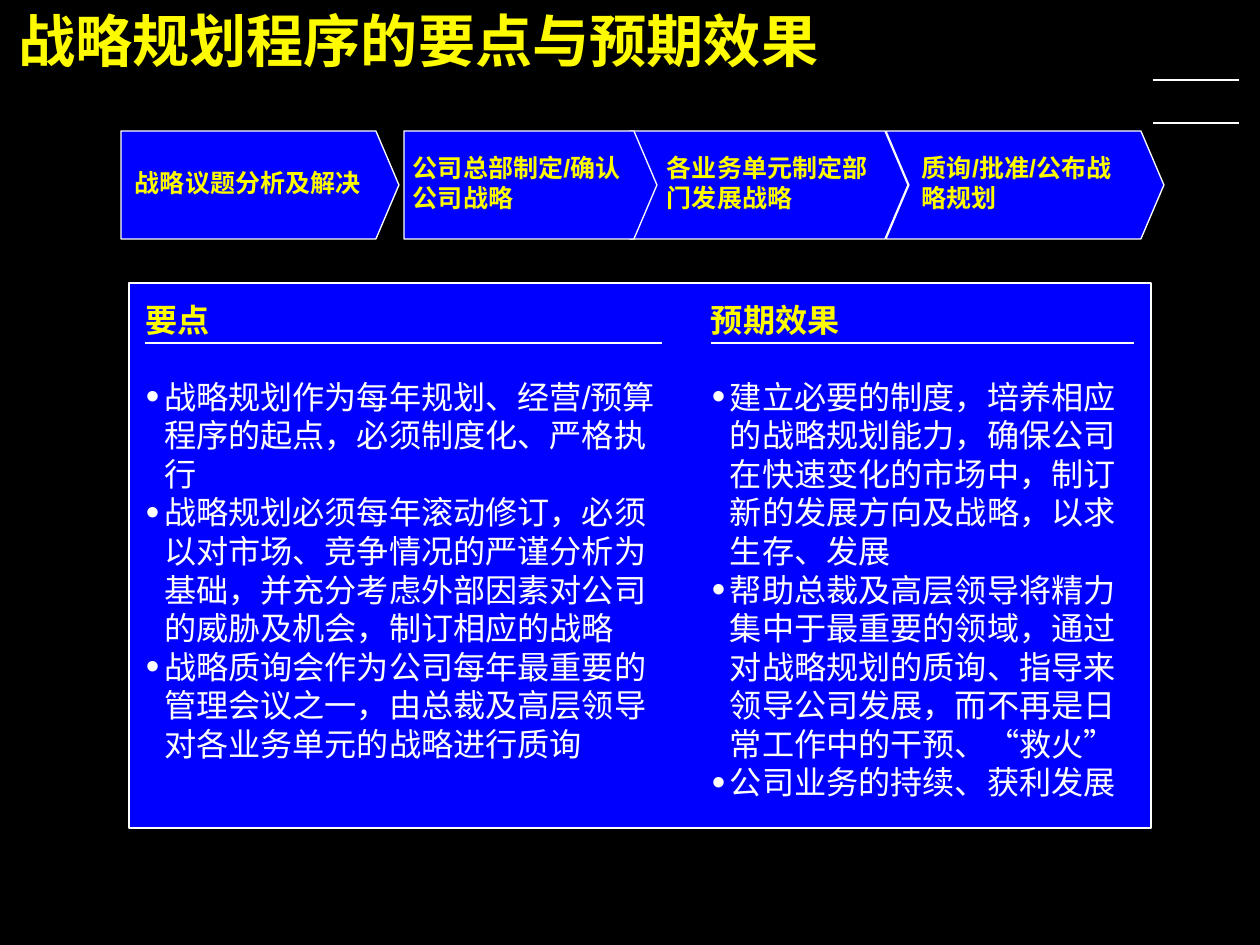
from dataclasses import dataclass

from lxml.etree import SubElement
from pptx import Presentation
from pptx.dml.color import RGBColor
from pptx.enum.lang import MSO_LANGUAGE_ID as Lang
from pptx.enum.shapes import MSO_CONNECTOR as Connector, MSO_SHAPE as Shape
from pptx.enum.text import MSO_ANCHOR as Anchor, MSO_AUTO_SIZE as AutoSize, PP_ALIGN as Align
from pptx.oxml.ns import qn
from pptx.util import Emu, Pt

PX = 7112  # EMU per px


@dataclass(frozen=True)
class Theme:
    font: str = "Arial"
    background: RGBColor = RGBColor(0x00, 0x00, 0x00)
    fill: RGBColor = RGBColor(0x00, 0x00, 0xFE)
    accent: RGBColor = RGBColor(0xFE, 0xFB, 0x00)
    plain: RGBColor = RGBColor(0xFF, 0xFF, 0xFF)
    title: int = 32
    body: int = 18
    step: int = 14


THEME = Theme()
COMPARISON_LAYOUT = 4

# label, left, width, text inset
STEPS = [
    ("战略议题分析及解决", 121, 278, 14),
    ("公司总部制定/确认公司战略", 404, 253, 9),
    ("各业务单元制定部门发展战略", 630, 278, 14),
    ("质询/批准/公布战略规划", 886, 278, 13),
]
KEY_POINTS = [
    "战略规划作为每年规划、经营/预算程序的起点，必须制度化、严格执行",
    "战略规划必须每年滚动修订，必须以对市场、竞争情况的严谨分析为基础，并充分考虑外部因素对公司的威胁及机会，制订相应的战略",
    "战略质询会作为公司每年最重要的管理会议之一，由总裁及高层领导对各业务单元的战略进行质询",
]
EXPECTED_RESULTS = [
    "建立必要的制度，培养相应的战略规划能力，确保公司在快速变化的市场中，制订新的发展方向及战略，以求生存、发展",
    "帮助总裁及高层领导将精力集中于最重要的领域，通过对战略规划的质询、指导来领导公司发展，而不再是日常工作中的干预、“救火”",
    "公司业务的持续、获利发展",
]


def px(length):
    return Emu(length * PX)


def place(shape, left, top, width, height):
    shape.left, shape.top = px(left), px(top)
    shape.width, shape.height = px(width), px(height)


def set_frame(frame, anchor, left=0, right=0, bottom=0):
    frame.word_wrap = True
    frame.auto_size = AutoSize.NONE
    frame.vertical_anchor = anchor
    frame.margin_left, frame.margin_right = px(left), px(right)
    frame.margin_top, frame.margin_bottom = 0, px(bottom)


def write(paragraph, text, size, color, bold):
    paragraph.alignment = Align.LEFT
    paragraph.space_before = Pt(0)
    run = paragraph.add_run()
    run.text = text
    font = run.font
    font.name, font.size, font.bold = THEME.font, Pt(size), bold
    font.color.rgb = color
    font.language_id = Lang.SIMPLIFIED_CHINESE


def add_bullet(paragraph):
    paragraph.space_before = Pt(0)
    props = paragraph._p.get_or_add_pPr()
    props.set("marL", str(px(19)))
    props.set("indent", str(px(-18)))
    SubElement(SubElement(props, qn("a:buClr")), qn("a:srgbClr"), val=str(THEME.plain))
    SubElement(props, qn("a:buSzPct"), val="120000")
    SubElement(props, qn("a:buFont"), typeface=THEME.font)
    SubElement(props, qn("a:buChar"), char="•")


def add_box(slide, preset, box, line_width):
    """Add a filled, outlined preset shape."""
    shape = slide.shapes.add_shape(preset, *map(px, box))
    shape.shadow.inherit = False
    shape.fill.solid()
    shape.fill.fore_color.rgb = THEME.fill
    shape.line.color.rgb = THEME.plain
    shape.line.width = Pt(line_width)
    return shape


def add_rule(slide, left, top, width):
    rule = slide.shapes.add_connector(
        Connector.STRAIGHT, px(left), px(top), px(left + width), px(top))
    rule.line.color.rgb = THEME.plain
    rule.line.width = Pt(1)
    SubElement(rule.element.spPr, qn("a:effectLst"))


def add_title(slide, text, box):
    title = slide.shapes.title
    place(title, *box)
    set_frame(title.text_frame, Anchor.TOP)
    write(title.text_frame.paragraphs[0], text, THEME.title, THEME.accent, True)


def add_process(slide, top, height, tip=23):
    """Draw the steps from last to first, so each tip lies over the next step."""
    for index, (label, left, width, inset) in reversed(list(enumerate(STEPS))):
        flat_start = index < 2
        preset = Shape.PENTAGON if flat_start else Shape.CHEVRON
        step = add_box(slide, preset, (left, top, width, height), 0.75)
        step.adjustments[0] = tip / height
        set_frame(step.text_frame, Anchor.MIDDLE, inset, 18 if flat_start else 6, 5)
        write(step.text_frame.paragraphs[0], label, THEME.step, THEME.accent, True)


def add_panel(slide, box):
    panel = add_box(slide, Shape.RECTANGLE, box, 1)
    tree = panel.element.getparent()
    tree.insert(2, panel.element)  # behind the placeholders


def add_column(slide, heading_index, heading_text, points, box, rule_width):
    left, top, width, height = box
    heading = slide.placeholders[heading_index]
    place(heading, left, top, width, 40)
    set_frame(heading.text_frame, Anchor.TOP)
    write(heading.text_frame.paragraphs[0], heading_text, THEME.body, THEME.accent, True)
    add_rule(slide, left, top + 43, rule_width)

    body = slide.placeholders[heading_index + 1]
    place(body, left, top + 77, width, height - 77)
    frame = body.text_frame
    set_frame(frame, Anchor.TOP)
    for index, point in enumerate(points):
        paragraph = frame.add_paragraph() if index else frame.paragraphs[0]
        add_bullet(paragraph)
        write(paragraph, point, THEME.body, THEME.plain, False)


def main():
    deck = Presentation()
    deck.slide_width, deck.slide_height = px(1260), px(945)
    slide = deck.slides.add_slide(deck.slide_layouts[COMPARISON_LAYOUT])
    background = slide.background.fill
    background.solid()
    background.fore_color.rgb = THEME.background

    for top in (80, 123):
        add_rule(slide, 1153, top, 86)
    add_title(slide, "战略规划程序的要点与预期效果", (18, 5, 1220, 68))
    add_process(slide, 131, 108)
    add_panel(slide, (129, 283, 1022, 545))
    add_column(slide, 1, "要点", KEY_POINTS, (145, 300, 523, 463), 517)
    add_column(slide, 3, "预期效果", EXPECTED_RESULTS, (711, 300, 429, 502), 423)
    deck.save("out.pptx")


if __name__ == "__main__":
    main()
